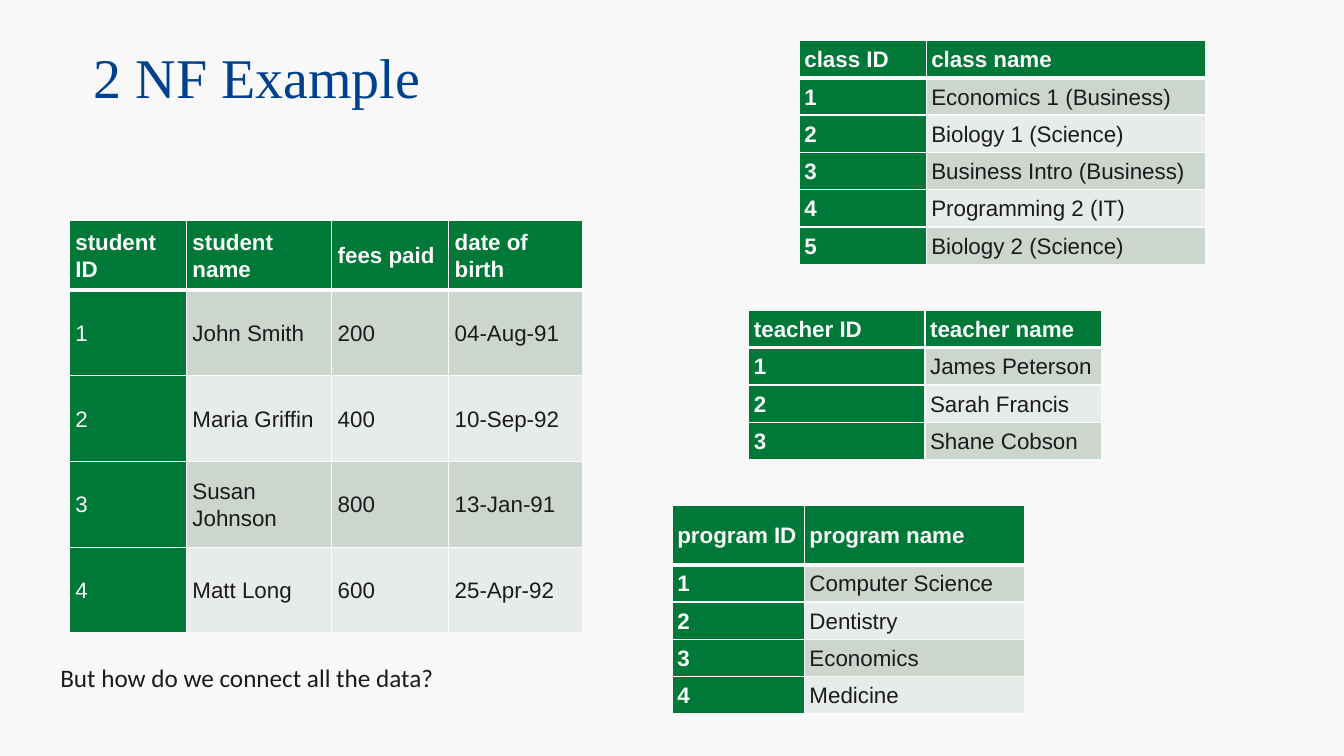
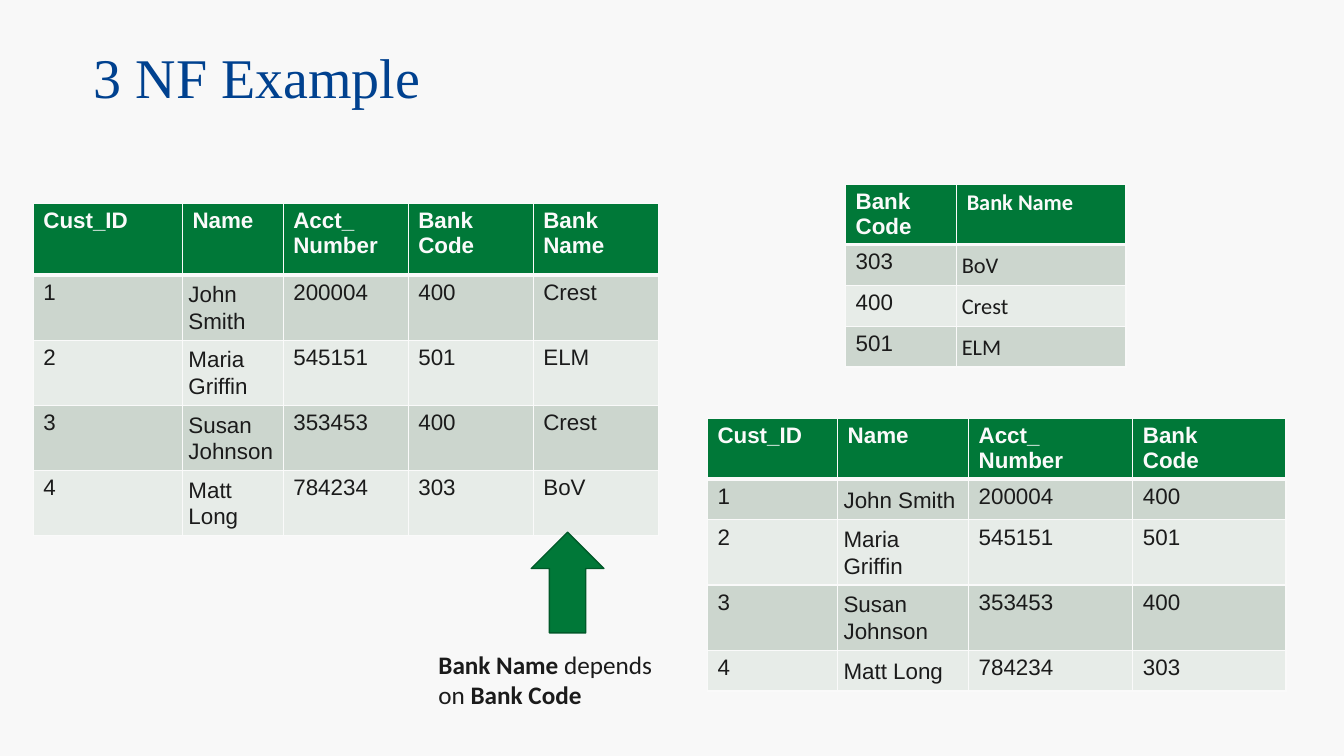
"""Build two slides on the second and third normal forms."""
from dataclasses import dataclass

from lxml.etree import SubElement
from pptx import Presentation
from pptx.dml.color import RGBColor
from pptx.enum.shapes import MSO_SHAPE
from pptx.enum.text import MSO_ANCHOR, MSO_AUTO_SIZE, PP_ALIGN
from pptx.oxml.ns import qn
from pptx.slide import Slide
from pptx.table import _Cell
from pptx.text.text import _Paragraph
from pptx.util import Cm, Pt


@dataclass(frozen=True)
class Theme:
    """Colours, fonts and type sizes of the deck."""
    back: str = "F8F8F8"
    title: str = "00418F"
    green: str = "007838"
    edge: str = "005929"
    ink: str = "1B1B1B"
    pale: str = "FAFAFA"
    bands: tuple[str, str] = ("CCD6CE", "E7ECE8")
    serif: str = "Times New Roman"
    sans: str = "Arial"
    note: str = "Calibri"
    head: int = 40
    body: int = 18
    cell: int = 16


@dataclass(frozen=True)
class Box:
    """A place on the slide in centimetres."""
    left: float
    top: float
    width: float
    height: float

    def place(self) -> tuple[Cm, Cm, Cm, Cm]:
        """Return the place as lengths."""
        return Cm(self.left), Cm(self.top), Cm(self.width), Cm(self.height)


@dataclass(frozen=True)
class Sheet:
    """A data table, with an optional green key column."""
    left: float
    top: float
    cols: tuple[float, ...]
    highs: tuple[float, ...]
    rows: tuple[tuple[str, ...], ...]
    pad: float = 0.15
    key: bool = False
    bold: bool = False
    face: str = Theme.sans


@dataclass(frozen=True)
class Span:
    """A piece of text in a note."""
    text: str
    bold: bool = False


@dataclass(frozen=True)
class Note:
    """A line of text beside the tables."""
    box: Box
    spans: tuple[Span, ...]


@dataclass(frozen=True)
class Page:
    """The content of one slide."""
    title: str
    sheets: tuple[Sheet, ...]
    note: Note
    arrow: Box | None = None


THEME = Theme()
TITLE = Box(2.11, 1.22, 30.18, 1.6)
LINE = 0.94

PAGES = (
    Page(
        "2 NF Example",
        (
            Sheet(1.75, 5.56, (2.95, 3.66, 2.95, 3.38), (1.75,) + (2.16,) * 4, (
                ("student ID", "student name", "fees paid", "date of birth"),
                ("1", "John Smith", "200", "04-Aug-91"),
                ("2", "Maria Griffin", "400", "10-Sep-92"),
                ("3", "Susan Johnson", "800", "13-Jan-91"),
                ("4", "Matt Long", "600", "25-Apr-92"),
            ), key=True),
            Sheet(18.87, 7.82, (4.44, 4.44), (LINE,) * 4, (
                ("teacher ID", "teacher name"),
                ("1", "James Peterson"),
                ("2", "Sarah Francis"),
                ("3", "Shane Cobson"),
            ), pad=0.13, key=True, bold=True),
            Sheet(20.14, 1.02, (3.2, 7.04), (LINE,) * 6, (
                ("class ID", "class name"),
                ("1", "Economics 1 (Business)"),
                ("2", "Biology 1 (Science)"),
                ("3", "Business Intro (Business)"),
                ("4", "Programming 2 (IT)"),
                ("5", "Biology 2 (Science)"),
            ), pad=0.13, key=True, bold=True),
            Sheet(16.94, 12.73, (3.33, 5.56), (1.5,) + (LINE,) * 4, (
                ("program ID", "program name"),
                ("1", "Computer Science"),
                ("2", "Dentistry"),
                ("3", "Economics"),
                ("4", "Medicine"),
            ), pad=0.13, key=True, bold=True),
        ),
        Note(Box(1.27, 16.56, 15.67, 1.02),
             (Span("But how do we connect all the data?"),)),
    ),
    Page(
        "3 NF Example",
        (
            Sheet(0.84, 5.13, (3.76, 2.54, 3.15, 3.15, 3.15), (1.8,) + (1.63,) * 4, (
                ("Cust_ID", "Name", "Acct_\nNumber", "Bank\nCode", "Bank Name"),
                ("1", "John Smith", "200004", "400", "Crest"),
                ("2", "Maria Griffin", "545151", "501", "ELM"),
                ("3", "Susan Johnson", "353453", "400", "Crest"),
                ("4", "Matt Long", "784234", "303", "BoV"),
            )),
            Sheet(21.31, 4.65, (2.8, 4.27), (1.5,) + (1.03,) * 3, (
                ("Bank Code", "Bank Name"),
                ("303", "BoV"),
                ("400", "Crest"),
                ("501", "ELM"),
            ), pad=0.13, face=THEME.note),
            Sheet(17.83, 10.54, (3.28, 3.3, 4.14, 3.86), (1.53, 1.03, 1.63, 1.63, 1.03), (
                ("Cust_ID", "Name", "Acct_\nNumber", "Bank\nCode"),
                ("1", "John Smith", "200004", "400"),
                ("2", "Maria Griffin", "545151", "501"),
                ("3", "Susan Johnson", "353453", "400"),
                ("4", "Matt Long", "784234", "303"),
            )),
        ),
        Note(Box(10.8, 16.23, 6.43, 1.8),
             (Span("Bank Name ", True), Span("depends on "), Span("Bank Code", True))),
        Box(13.39, 13.41, 1.83, 2.54),
    ),
)


def write(para: _Paragraph, text: str, face: str, size: int, tint: str,
          bold: bool = False) -> None:
    """Add one formatted run to a paragraph."""
    run = para.add_run()
    run.text = text
    font = run.font
    font.name, font.size, font.bold = face, Pt(size), bold
    font.color.rgb = RGBColor.from_string(tint)


def rule(cell: _Cell, row: int) -> None:
    """Draw the cell borders, thick under the header."""
    thick = {"lnT": row == 1, "lnB": row == 0}
    props = cell._tc.get_or_add_tcPr()
    for side in ("lnL", "lnR", "lnT", "lnB"):
        width = Pt(3 if thick.get(side) else 1)
        line = SubElement(props, qn(f"a:{side}"), w=str(width))
        fill = SubElement(line, qn("a:solidFill"))
        SubElement(fill, qn("a:srgbClr"), val=THEME.pale)


def fill_cell(cell: _Cell, sheet: Sheet, row: int, col: int) -> None:
    """Format and fill one cell of a sheet."""
    head = row == 0
    green = head or (sheet.key and col == 0)
    tight = sheet.key or (col == 1 and not head)
    rule(cell, row)
    cell.fill.solid()
    tint = THEME.green if green else THEME.bands[(row - 1) % 2]
    cell.fill.fore_color.rgb = RGBColor.from_string(tint)
    if tight:
        cell.vertical_anchor = MSO_ANCHOR.MIDDLE
        cell.margin_left = cell.margin_right = Cm(sheet.pad)
        cell.margin_top = cell.margin_bottom = Cm(sheet.pad)
    frame = cell.text_frame
    for num, text in enumerate(sheet.rows[row][col].split("\n")):
        para = frame.add_paragraph() if num else frame.paragraphs[0]
        if tight:
            para.line_spacing = 1.07
        write(para, text, sheet.face if col == 1 else THEME.sans, THEME.cell,
              THEME.pale if green else THEME.ink, head or (green and sheet.bold))


def add_sheet(slide: Slide, sheet: Sheet) -> None:
    """Draw a sheet as a table."""
    box = Box(sheet.left, sheet.top, sum(sheet.cols), sum(sheet.highs))
    table = slide.shapes.add_table(
        len(sheet.highs), len(sheet.cols), *box.place()).table
    for col, width in enumerate(sheet.cols):
        table.columns[col].width = Cm(width)
    for row, high in enumerate(sheet.highs):
        table.rows[row].height = Cm(high)
        for col in range(len(sheet.cols)):
            fill_cell(table.cell(row, col), sheet, row, col)


def add_title(slide: Slide, text: str) -> None:
    """Place and write the slide title."""
    title = slide.shapes.title
    title.left, title.top, title.width, title.height = TITLE.place()
    frame = title.text_frame
    frame.vertical_anchor = MSO_ANCHOR.MIDDLE
    frame.auto_size = MSO_AUTO_SIZE.NONE
    para = frame.paragraphs[0]
    para.alignment, para.line_spacing = PP_ALIGN.LEFT, 0.9
    write(para, text, THEME.serif, THEME.head, THEME.title)


def add_note(slide: Slide, note: Note) -> None:
    """Write a note in a text box."""
    frame = slide.shapes.add_textbox(*note.box.place()).text_frame
    frame.word_wrap = True
    frame.auto_size = MSO_AUTO_SIZE.SHAPE_TO_FIT_TEXT
    for span in note.spans:
        write(frame.paragraphs[0], span.text, THEME.note, THEME.body,
              THEME.ink, span.bold)


def add_arrow(slide: Slide, box: Box) -> None:
    """Draw the green arrow that points up."""
    arrow = slide.shapes.add_shape(MSO_SHAPE.UP_ARROW, *box.place())
    arrow.shadow.inherit = False
    arrow.fill.solid()
    arrow.fill.fore_color.rgb = RGBColor.from_string(THEME.green)
    arrow.line.color.rgb = RGBColor.from_string(THEME.edge)
    arrow.line.width = Pt(1)


def main() -> None:
    """Build and save the deck."""
    deck = Presentation()
    deck.slide_width, deck.slide_height = Cm(33.87), Cm(19.05)
    back = deck.slide_master.background.fill
    back.solid()
    back.fore_color.rgb = RGBColor.from_string(THEME.back)
    for page in PAGES:
        slide = deck.slides.add_slide(deck.slide_layouts[5])
        add_title(slide, page.title)
        for sheet in page.sheets:
            add_sheet(slide, sheet)
        if page.arrow:
            add_arrow(slide, page.arrow)
        add_note(slide, page.note)
    deck.save("out.pptx")


if __name__ == "__main__":
    main()
